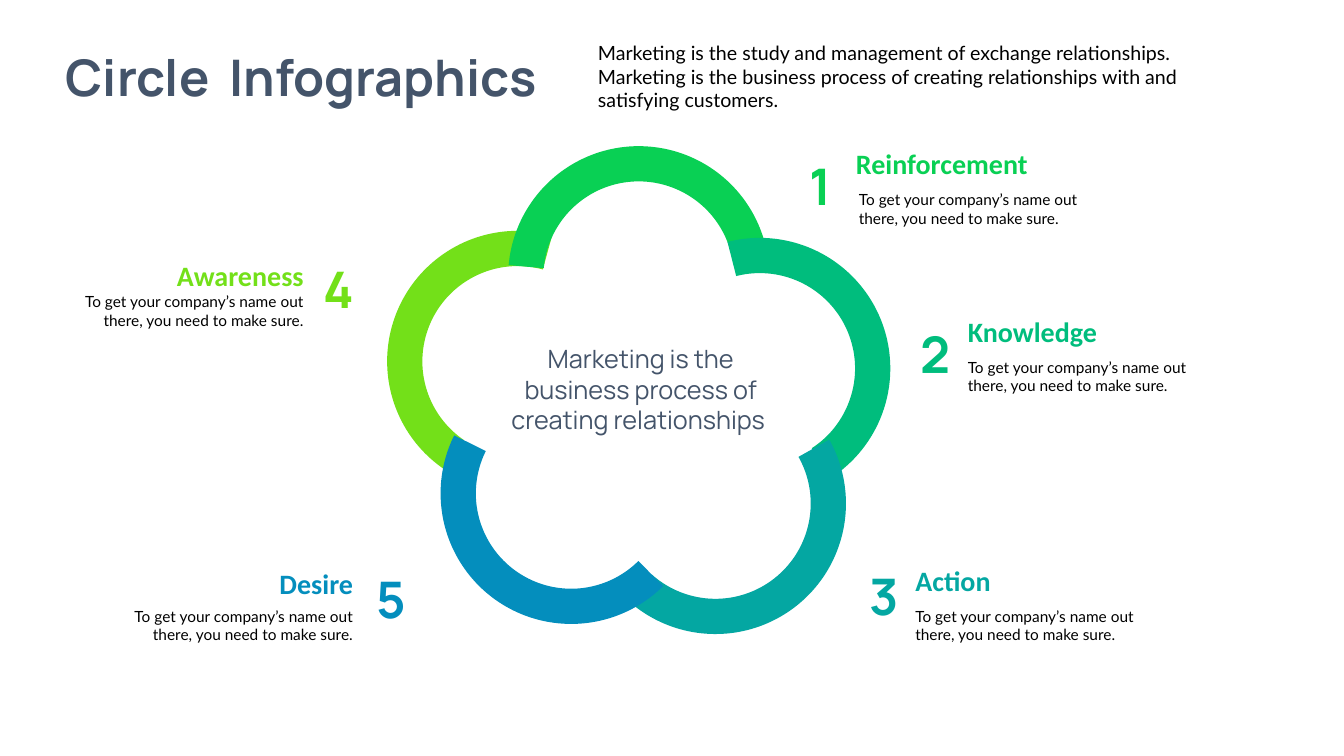
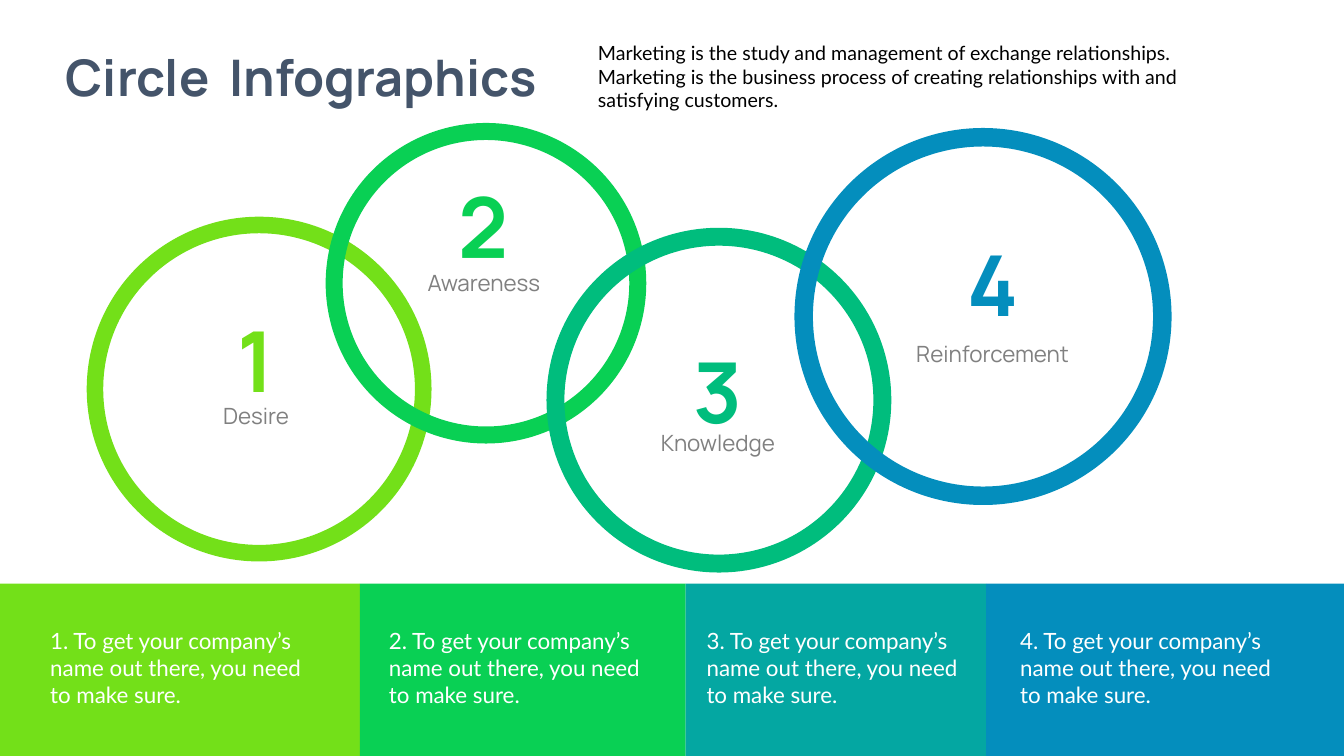
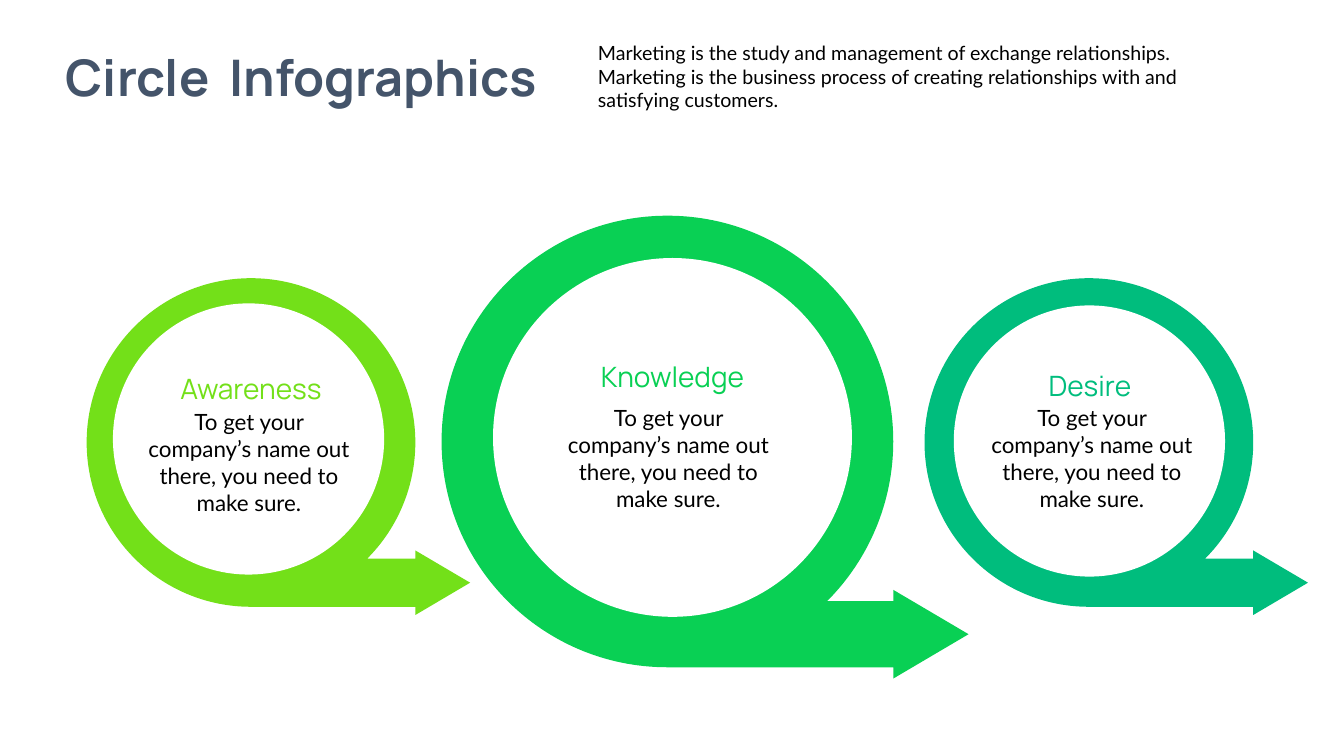
from math import cos, pi, radians, sin, tan

from pptx import Presentation
from pptx.dml.color import RGBColor
from pptx.enum.shapes import MSO_SHAPE
from pptx.enum.text import MSO_ANCHOR, MSO_AUTO_SIZE, PP_ALIGN
from pptx.oxml.ns import qn
from pptx.oxml.xmlchemy import OxmlElement
from pptx.util import Inches, Pt


class Theme:
    lime, green, jade = "73E019", "09D054", "00BD7D"
    teal, blue, slate = "04A7A2", "048EBD", "44546A"
    gray, black, white = "808080", "000000", "FFFFFF"
    head, body, label = "Manrope", "Lato", "Calibri"
    huge, title, name, mid, text, lead, note = 60, 36, 20, 18, 16, 14, 11


LEFT, MID, RIGHT = PP_ALIGN.LEFT, PP_ALIGN.CENTER, PP_ALIGN.RIGHT
NOTE = "To get your company’s name out there, you need to make sure."
LEAD = ("Marketing is the study and management of exchange relationships. "
        "Marketing is the business process of creating relationships with "
        "and satisfying customers.")


def say(slide, box, text, size, color, font=Theme.body, align=LEFT,
        bold=False, holder=None):
    """Write text into a placeholder, or into a new text box, at box."""
    spot = holder or slide.shapes.add_textbox(0, 0, 0, 0)
    spot.left, spot.top, spot.width, spot.height = map(Inches, box)
    frame = spot.text_frame
    frame.text = text
    frame.word_wrap = True
    frame.auto_size = MSO_AUTO_SIZE.SHAPE_TO_FIT_TEXT
    frame.vertical_anchor = MSO_ANCHOR.TOP
    line = frame.paragraphs[0]
    line.alignment = align
    line.space_before = Pt(0)
    face = line.runs[0].font
    face.name, face.size, face.bold = font, Pt(size), bold
    face.color.rgb = RGBColor.from_string(color)
    return frame


def paint(shape, color):
    shape.shadow.inherit = False
    shape.fill.solid()
    shape.fill.fore_color.rgb = RGBColor.from_string(color)
    shape.line.fill.background()
    return shape


deck = Presentation()
deck.slide_width, deck.slide_height = Inches(13.33), Inches(7.5)

slides = []
for _ in range(3):
    slide = deck.slides.add_slide(deck.slide_layouts[1])
    frame = say(slide, (0.37, 0.41, 5.24, 0.71), "Circle  Infographics",
                Theme.title, Theme.slate, Theme.head, MID, True,
                slide.shapes.title)
    frame.word_wrap = False
    frame = say(slide, (5.83, 0.36, 6, 0.81), LEAD, Theme.lead, Theme.black,
                holder=slide.placeholders[1])
    props = frame.paragraphs[0]._p.get_or_add_pPr()
    props.set("marL", "0")
    props.set("indent", "0")
    props.append(OxmlElement("a:buNone"))
    slides.append(slide)
flower, chain, loops = slides

# Flower of five arcs: arc place and turn, digit place, name and note places
petals = [
    ("4", "Awareness", Theme.lime, (3.84, 2.29), 304.1,
     (2.87, 2.5), (0.7, 2.52), (0.7, 2.85), RIGHT),
    ("1", "Reinforcement", Theme.green, (5.04, 1.45), 5.1,
     (7.65, 1.48), (8.39, 1.4), (8.42, 1.84), LEFT),
    ("2", "Knowledge", Theme.jade, (6.24, 2.36), 75.7,
     (8.79, 3.15), (9.5, 3.07), (9.5, 3.5), LEFT),
    ("3", "Action", Theme.teal, (5.8, 3.7), 150.7,
     (8.28, 5.55), (8.98, 5.54), (8.98, 5.97), LEFT),
    ("5", "Desire", Theme.blue, (4.37, 3.6), 225.2,
     (3.39, 5.58), (1.19, 5.57), (1.19, 5.97), RIGHT),
]
for digit, name, color, place, turn, spot, top, low, align in petals:
    arc = paint(flower.shapes.add_shape(
        MSO_SHAPE.BLOCK_ARC, *map(Inches, (*place, 2.59, 2.59))), color)
    arc.rotation = turn
    for i, value in enumerate((108, 204.71, 0.135)):
        arc.adjustments[i] = value
    frame = say(flower, (*spot, 0.98, 0.72), digit, Theme.title, color,
                Theme.head, MID, True)
    frame.vertical_anchor = MSO_ANCHOR.MIDDLE
    frame.margin_left = frame.margin_right = Inches(0.06)
    frame.margin_top = frame.margin_bottom = Inches(0.06)
    say(flower, (*top, 2.41, 0.44), name, Theme.name, color,
        Theme.label, align, True)
    say(flower, (*low, 2.41, 0.47), NOTE, Theme.note, Theme.black,
        align=align)
say(flower, (4.81, 3.36, 3.09, 1.01),
    "Marketing is the business process of creating relationships ",
    Theme.mid, Theme.slate, Theme.head, MID)

# Chain of rings: ring left, top, size and band; text left, width, digit and name tops
rings = [
    ("Desire", Theme.lime, 0.86, 2.15, 3.42, 0.048, 1.64, 1.8, 3.01, 3.94),
    ("Awareness", Theme.green, 3.23, 1.22, 3.18, 0.053, 3.9, 1.8, 1.68, 2.62),
    ("Knowledge", Theme.jade, 5.42, 2.26, 3.42, 0.052, 6.22, 1.8, 3.32, 4.21),
    ("Reinforcement", Theme.blue, 7.88, 1.27, 3.74, 0.049,
     8.52, 2.65, 2.26, 3.33),
]
for i, (name, color, x, y, size, band, left, wide, top, low) in enumerate(rings, 1):
    ring = paint(chain.shapes.add_shape(
        MSO_SHAPE.DONUT, *map(Inches, (x, y, size, size))), color)
    ring.adjustments[0] = band
    say(chain, (left, low, wide, 0.37), name, Theme.text, Theme.gray,
        Theme.head, MID)
    say(chain, (left, top, wide, 1.11), str(i), Theme.huge, color,
        Theme.head, MID, True)

edges = [0, 3.57, 6.8, 9.78, 13.33]
tints = [Theme.lime, Theme.green, Theme.teal, Theme.blue]
starts = [0.4, 3.76, 6.91, 10.02]
for i, (x, end, color, left) in enumerate(zip(edges, edges[1:], tints, starts), 1):
    paint(chain.shapes.add_shape(
        MSO_SHAPE.RECTANGLE, *map(Inches, (x, 5.79, end - x, 1.71))), color)
    say(chain, (left, 6.17, 2.84, 0.91), f"{i}. {NOTE}", Theme.text, Theme.white)

# Loop arrows: centre and radius; hole left, top and size; name and note places
arrows = [
    ("Awareness", Theme.lime, 2.49, 4.39, 1.63, (1.12, 3.01, 2.69),
     (1.57, 3.64), (1.35, 4)),
    ("Knowledge", Theme.green, 6.62, 4.38, 2.24, (4.89, 2.56, 3.56),
     (5.75, 3.52), (5.51, 3.96)),
    ("Desire", Theme.jade, 10.8, 4.39, 1.63, (9.46, 3.03, 2.69),
     (9.89, 3.61), (9.71, 3.96)),
]
turns = [radians(a) for a in (45, 0, -90, -180, -270)]
for name, color, x, y, r, (left, top, size), spot, low in arrows:
    # The ring opens at 45 degrees and runs round to its foot
    points = [(x + r * cos(a), y + r * sin(a)) for a in turns]
    neck, high, foot = x + r, points[0][1], y + r
    flare = 0.05 * r
    points += [(neck, foot), (neck, foot + flare),
               (neck + r / 3, (high + foot) / 2),
               (neck, high - flare), (neck, high)]
    points = [(Inches(a), Inches(b)) for a, b in points]
    form = loops.shapes.build_freeform(*points[0])
    form.add_line_segments(points[1:])
    shape = paint(form.convert_to_shape(), color)

    # Bend the sides between the turns into circular arcs
    sides = list(shape._element.iter(qn("a:lnTo")))
    for side, a, b in zip(sides, turns, turns[1:]):
        pull = 4 / 3 * tan((a - b) / 4)
        knots = [(cos(a) + pull * sin(a), sin(a) - pull * cos(a)),
                 (cos(b) - pull * sin(b), sin(b) + pull * cos(b)),
                 (cos(b), sin(b))]
        curve = OxmlElement("a:cubicBezTo")
        for u, v in knots:
            knot = OxmlElement("a:pt")
            knot.set("x", str(Inches(x + r * u) - shape.left))
            knot.set("y", str(Inches(y + r * v) - shape.top))
            curve.append(knot)
        side.getparent().replace(side, curve)

    paint(loops.shapes.add_shape(
        MSO_SHAPE.OVAL, *map(Inches, (left, top, size, size))), Theme.white)
    say(loops, (*spot, 1.84, 0.44), name, Theme.name, color, Theme.head, MID)
    say(loops, (*low, 2.24, 1.18), NOTE, Theme.text, Theme.black, align=MID)

deck.save("out.pptx")
